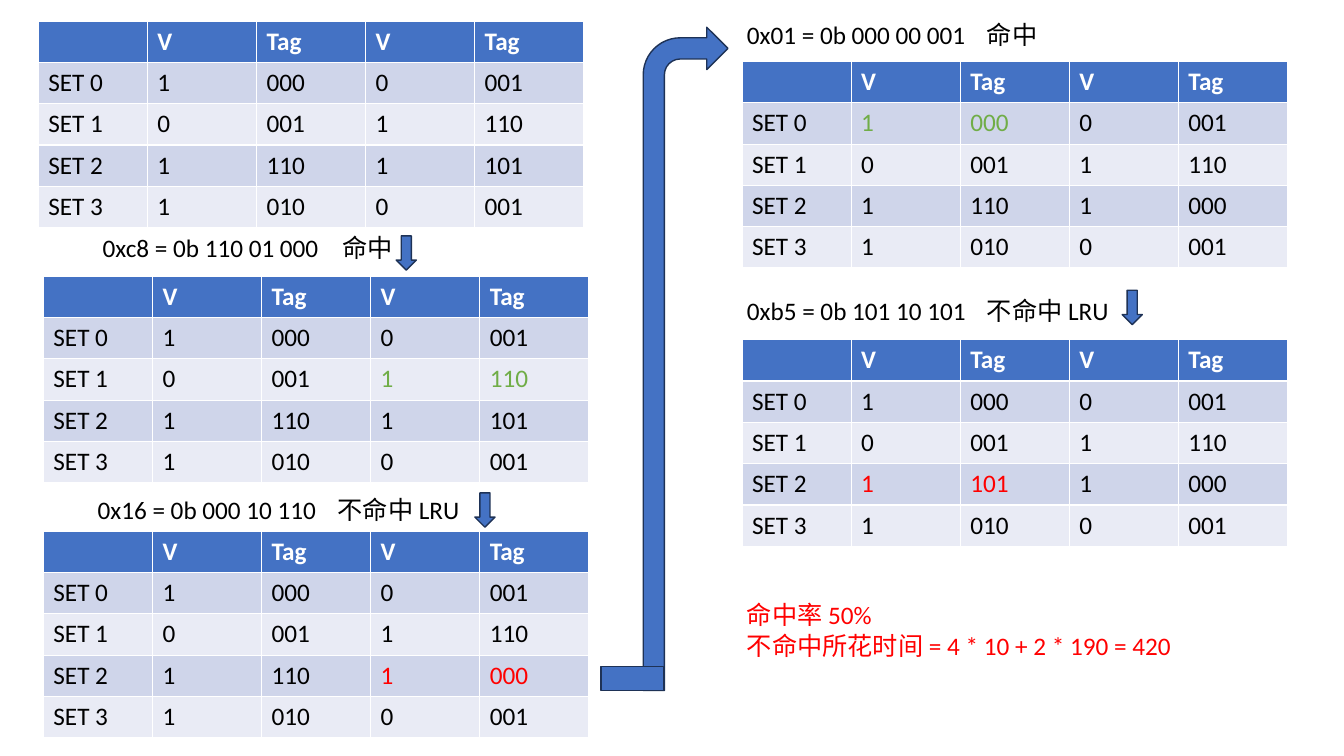
import pptx
import pptx.util
import pptx.dml.color
import pptx.enum.shapes
import pptx.enum.text
import lxml.etree

Inches = pptx.util.Inches
Kind = pptx.enum.shapes.MSO_SHAPE
BLUE, GREEN, RED, BLACK, WHITE = "4472C4", "70AD47", "FF0000", "000000", "FFFFFF"


def paint(color, code):
    color.rgb = pptx.dml.color.RGBColor.from_string(code)


def write(frame, text, color=BLACK, bold=False, tab=None):
    for i, line in enumerate(text.split("\n")):
        para = frame.paragraphs[0] if i == 0 else frame.add_paragraph()
        if tab:
            props = para._p.get_or_add_pPr()
            tabs = lxml.etree.SubElement(props, pptx.oxml.ns.qn("a:tabLst"))
            stop = lxml.etree.SubElement(tabs, pptx.oxml.ns.qn("a:tab"))
            stop.set("pos", str(Inches(tab)))
            stop.set("algn", "l")
        run = para.add_run()
        run.text = line
        run.font.name = "Calibri"
        run.font.size = pptx.util.Pt(18)
        run.font.bold = bold
        paint(run.font.color, color)


deck = pptx.Presentation()
deck.slide_width, deck.slide_height = Inches(13.33), Inches(7.5)
slide = deck.slides.add_slide(deck.slide_layouts[6])
shapes = slide.shapes

cache = [
    ["", "V", "Tag", "V", "Tag"],
    ["SET 0", "1", "000", "0", "001"],
    ["SET 1", "0", "001", "1", "110"],
    ["SET 2", "1", "110", "1", "101"],
    ["SET 3", "1", "010", "0", "001"],
]
steps = [
    (0.38, 0.21, None, None, None, None),
    (0.43, 2.74, 2, 3, "110", GREEN),
    (0.43, 5.27, 3, 3, "000", RED),
    (7.36, 0.61, 1, 1, "000", GREEN),
    (7.36, 3.37, 3, 1, "101", RED),
]
for left, top, line, way, tag, mark in steps:
    if line:
        cache[line][way:way + 2] = ["1", tag]
    table = shapes.add_table(5, 5, Inches(left), Inches(top), Inches(5.41), Inches(2.05)).table
    for r, row in enumerate(cache):
        table.rows[r].height = Inches(0.41)
        for c, text in enumerate(row):
            cell = table.cell(r, c)
            cell.fill.solid()
            paint(cell.fill.fore_color, BLUE if r == 0 else "CFD5EA" if r % 2 else "E9EBF5")
            hot = r == line and c in (way, way + 1)
            if text:
                write(cell.text_frame, text, color=WHITE if r == 0 else mark if hot else BLACK, bold=r == 0)

notes = [
    (0.92, 2.26, 4.45, 0.4, "0xc8 = 0b 110 01 000\t命中", BLACK),
    (0.87, 4.85, 4.45, 0.4, "0x16 = 0b 000 10 110\t不命中 LRU", BLACK),
    (7.31, 0.14, 4.45, 0.4, "0x01 = 0b 000 00 001\t命中", BLACK),
    (7.31, 2.88, 4.45, 0.4, "0xb5 = 0b 101 10 101\t不命中 LRU", BLACK),
    (7.31, 5.9, 5.84, 0.71, "命中率 50%\n不命中所花时间 = 4 * 10 + 2 * 190 = 420", RED),
]
for left, top, width, height, text, color in notes:
    frame = shapes.add_textbox(Inches(left), Inches(top), Inches(width), Inches(height)).text_frame
    frame.word_wrap = True
    frame.auto_size = pptx.enum.text.MSO_AUTO_SIZE.SHAPE_TO_FIT_TEXT
    write(frame, text, color=color, tab=2.38 if "\t" in text else None)

arrows = [
    (Kind.DOWN_ARROW, 3.93, 2.34, 0.2, 0.34),
    (Kind.DOWN_ARROW, 4.71, 4.89, 0.2, 0.34),
    (Kind.DOWN_ARROW, 11.13, 2.88, 0.2, 0.34),
    (Kind.BENT_ARROW, 6.38, 0.27, 0.84, 6.58),
    (Kind.RECTANGLE, 5.96, 6.61, 0.62, 0.24),
]
for kind, left, top, width, height in arrows:
    arrow = shapes.add_shape(kind, Inches(left), Inches(top), Inches(width), Inches(height))
    arrow.shadow.inherit = False
    arrow.fill.solid()
    paint(arrow.fill.fore_color, BLUE)
    paint(arrow.line.color, "1E3256")
    arrow.line.width = pptx.util.Pt(1)

deck.save("out.pptx")
